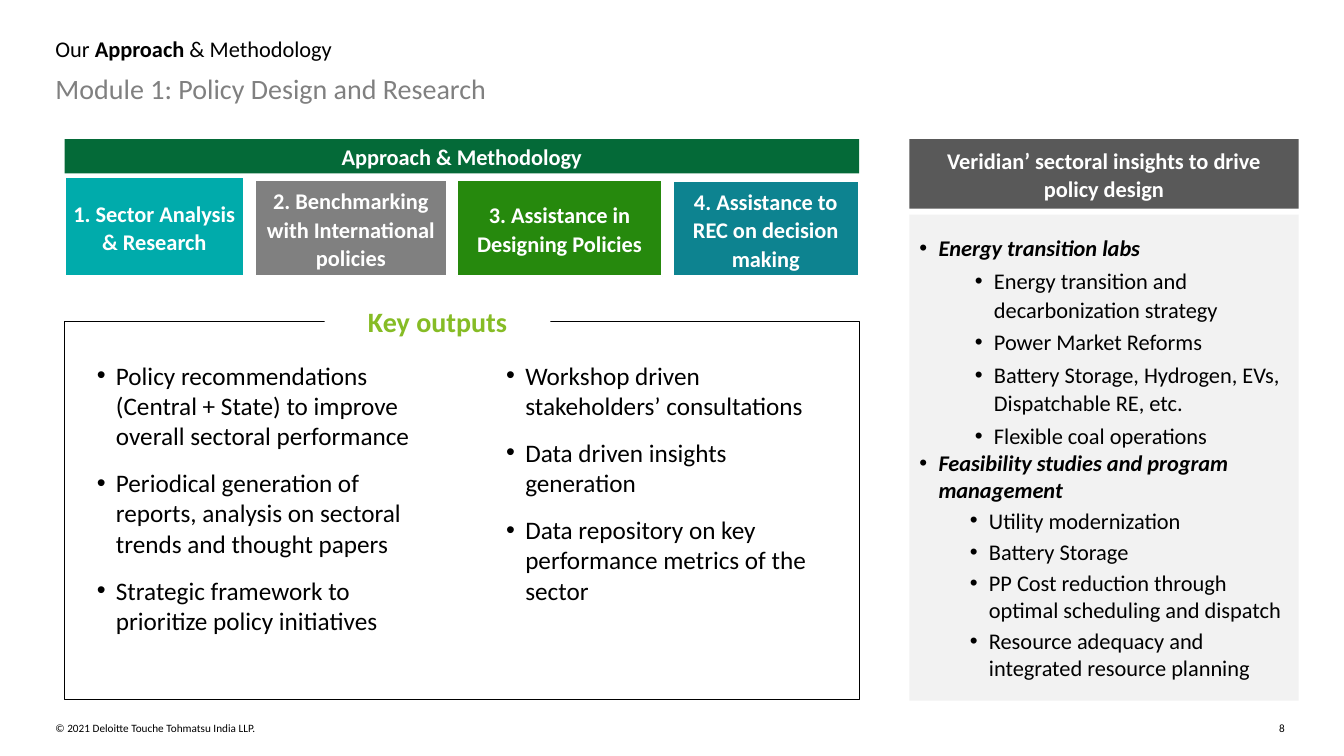
from lxml.etree import SubElement
from pptx import Presentation
from pptx.dml.color import RGBColor
from pptx.enum.shapes import MSO_SHAPE
from pptx.enum.text import MSO_ANCHOR, MSO_AUTO_SIZE, PP_ALIGN
from pptx.oxml.ns import qn
from pptx.util import Inches, Pt

COLORS = {
    "black": "000000", "white": "FFFFFF", "grey": "808080",
    "dark_green": "046A38", "aqua": "00ABAB", "green": "26890D",
    "teal": "0D8390", "lime": "86BC25", "panel": "F2F2F2", "charcoal": "595959",
}
BULLET_HANG = 0.19

STEPS = [  # left, top, width, height, inset, colour, wording
    (0.64, 1.76, 1.78, 0.98, 0.04, "aqua", "1. Sector Analysis & Research"),
    (2.53, 1.79, 1.9, 0.95, 0.1, "grey", "2. Benchmarking with International policies"),
    (4.53, 1.79, 2.04, 0.95, 0.1, "green", "3. Assistance in Designing Policies"),
    (6.67, 1.8, 1.85, 0.94, 0.1, "teal", "4. Assistance to REC on decision making"),
]
OUTPUT_COLUMNS = [  # offset from the frame, width, bullets
    (0.32, 3.12, [
        "Policy recommendations (Central + State) to improve overall sectoral performance",
        "Periodical generation of reports, analysis on sectoral trends and thought papers",
        "Strategic framework to prioritize policy initiatives",
    ]),
    (4.38, 3.0, [
        "Workshop driven stakeholders’ consultations",
        "Data driven insights generation",
        "Data repository on key performance metrics of the sector",
    ]),
]
INSIGHTS = [  # heading, indent of its topics, line spacing of its topics, topics
    ("Energy transition labs", 0.74, 1.06, [
        "Energy transition and decarbonization strategy",
        "Power Market Reforms",
        "Battery Storage, Hydrogen, EVs, Dispatchable RE, etc.",
        "Flexible coal operations",
    ]),
    ("Feasibility studies and program management", 0.69, 1.0, [
        "Utility modernization",
        "Battery Storage",
        "PP Cost reduction through optimal scheduling and dispatch",
        "Resource adequacy and integrated resource planning",
    ]),
]


def rgb(name):
    return RGBColor.from_string(COLORS[name])


def set_font(paragraph, size, color="black", bold=False, italic=False):
    font = paragraph.font
    font.name, font.size = "Calibri", Pt(size)
    font.bold, font.italic = bold, italic
    font.color.rgb = rgb(color)


def set_frame(frame, inset=0.0, anchor=MSO_ANCHOR.TOP):
    frame.word_wrap = True
    frame.auto_size = MSO_AUTO_SIZE.NONE
    frame.vertical_anchor = anchor
    frame.margin_left = frame.margin_right = Inches(inset)
    frame.margin_top = frame.margin_bottom = Inches(inset)


def add_text(slide, box, wording="", size=8, color="black", align=PP_ALIGN.LEFT):
    frame = slide.shapes.add_textbox(*map(Inches, box)).text_frame
    set_frame(frame)
    paragraph = frame.paragraphs[0]
    paragraph.text, paragraph.alignment = wording, align
    set_font(paragraph, size, color)
    return frame


def add_box(slide, box, fill=None, line=None, line_width=0.5):
    shape = slide.shapes.add_shape(MSO_SHAPE.RECTANGLE, *map(Inches, box))
    shape.shadow.inherit = False
    if fill:
        shape.fill.solid()
        shape.fill.fore_color.rgb = rgb(fill)
    else:
        shape.fill.background()
    if line:
        shape.line.color.rgb = rgb(line)
        shape.line.width = Pt(line_width)
    else:
        shape.line.fill.background()
    return shape


def add_label(slide, box, wording, fill, color="white", size=16, inset=0.1, line=None):
    frame = add_box(slide, box, fill, line, 1.5).text_frame
    set_frame(frame, inset, MSO_ANCHOR.MIDDLE)
    paragraph = frame.paragraphs[0]
    paragraph.text, paragraph.alignment = wording, PP_ALIGN.CENTER
    paragraph.line_spacing = 1.06
    set_font(paragraph, size, color, bold=True)


def add_bullet(frame, wording, size, indent=BULLET_HANG, level=0, before=0, after=0,
               spacing=1.0, strong=False):
    first = not frame.paragraphs[0].text
    paragraph = frame.paragraphs[0] if first else frame.add_paragraph()
    paragraph.text, paragraph.level = wording, level
    paragraph.alignment = PP_ALIGN.LEFT
    paragraph.line_spacing = spacing
    paragraph.space_before = Pt(0 if first else before)
    paragraph.space_after = Pt(after)
    properties = paragraph._p.get_or_add_pPr()
    properties.set("marL", str(Inches(indent)))
    properties.set("indent", str(-Inches(BULLET_HANG)))
    SubElement(properties, qn("a:buFont"), typeface="Arial")
    SubElement(properties, qn("a:buChar"), char="•")
    set_font(paragraph, size, bold=strong, italic=strong)


def build_heading(slide, left, top, width):
    title = slide.shapes.title
    title.left, title.top = Inches(left), Inches(top)
    title.width, title.height = Inches(width), Inches(0.37)
    set_frame(title.text_frame)
    paragraph = title.text_frame.paragraphs[0]
    paragraph.alignment = PP_ALIGN.LEFT
    set_font(paragraph, 16)
    for wording, bold in (("Our ", False), ("Approach", True), (" & Methodology", False)):
        run = paragraph.add_run()
        run.text, run.font.bold = wording, bold
    add_text(slide, (left, top + 0.36, width, 0.83),
             "Module 1: Policy Design and Research", 20, "grey")


def build_approach(slide, left, top, width):
    add_label(slide, (left, top, width, 0.34), "Approach & Methodology", "dark_green")
    for *box, inset, fill, wording in STEPS:
        add_label(slide, box, wording, fill, inset=inset, line="white")


def build_outputs(slide, left, top, width, height):
    add_box(slide, (left, top, width, height), line="black")
    for offset, column_width, outputs in OUTPUT_COLUMNS:
        frame = add_text(slide, (left + offset, top + 0.38, column_width, 2.76))
        for output in outputs:
            add_bullet(frame, output, 18, before=6, after=6)
    # Heading interrupts the top edge of the frame
    add_label(slide, (left + 2.58, top - 0.12, 2.24, 0.22), "Key outputs",
              "white", "lime", 20)


def build_insights(slide, left, top, width, height):
    add_label(slide, (left, top, width, 0.69),
              "Veridian’ sectoral insights to drive policy design", "charcoal")
    panel = add_box(slide, (left, top + 0.75, width, height - 0.75), "panel")
    frame = panel.text_frame
    set_frame(frame, 0.1, MSO_ANCHOR.MIDDLE)
    for heading, indent, spacing, topics in INSIGHTS:
        add_bullet(frame, heading, 16, strong=True)
        for topic in topics:
            add_bullet(frame, topic, 16, indent, 1, before=3, spacing=spacing)


def build_footer(slide, left, top, right):
    add_text(slide, (left, top, 5.86, 0.13), "© 2021 Deloitte Touche Tohmatsu India LLP.")
    add_text(slide, (right - 0.13, top, 0.13, 0.13), "8", align=PP_ALIGN.CENTER)


def main():
    deck = Presentation()
    deck.slide_width, deck.slide_height = Inches(13.33), Inches(7.5)
    slide = deck.slides.add_slide(deck.slide_layouts[5])
    build_heading(slide, 0.55, 0.35, 12.25)
    build_approach(slide, 0.64, 1.38, 7.88)
    build_outputs(slide, 0.64, 3.19, 7.88, 3.75)
    build_insights(slide, 9.02, 1.38, 3.86, 5.57)
    build_footer(slide, 0.55, 7.16, 12.78)
    deck.save("out.pptx")


if __name__ == "__main__":
    main()
